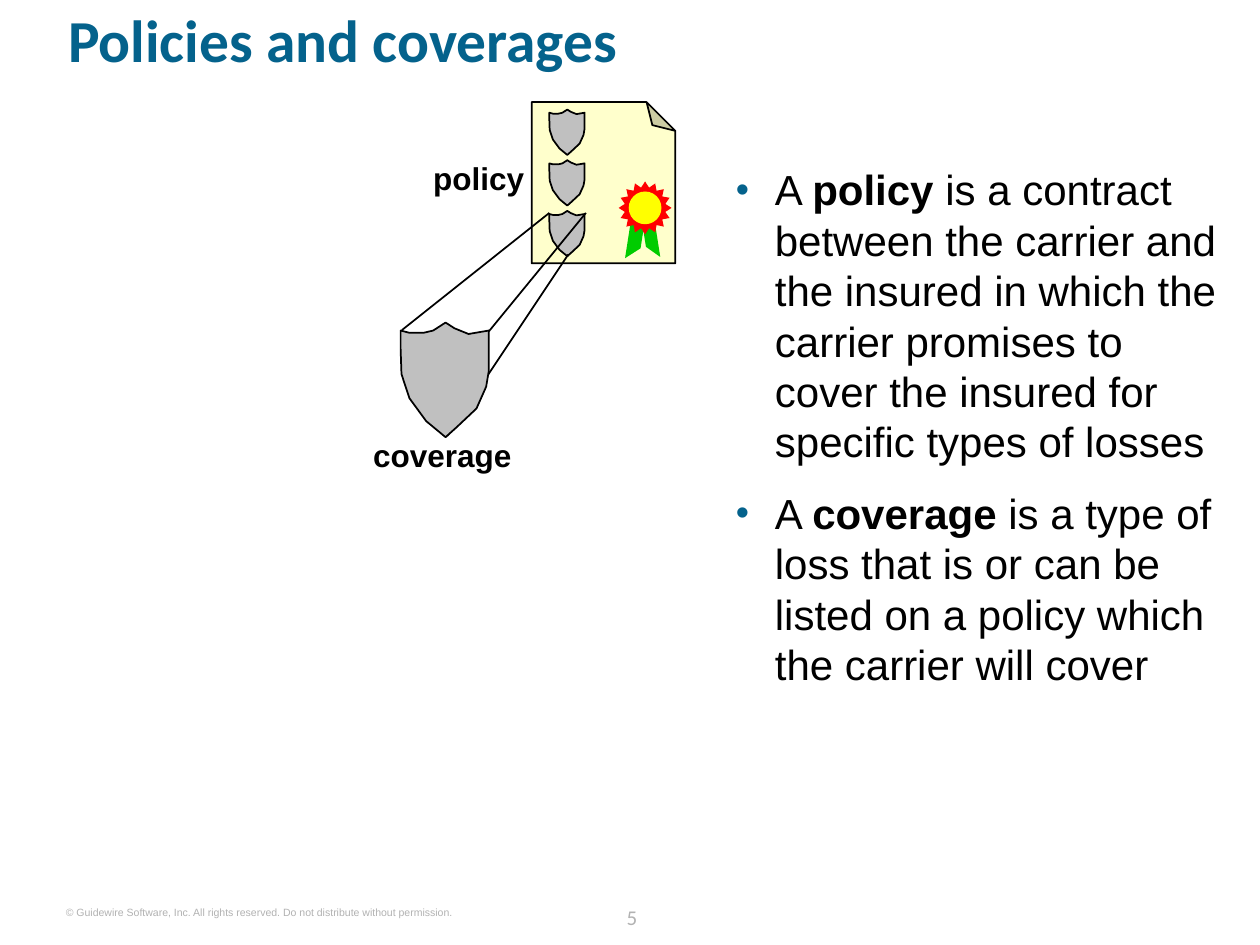
from typing import NamedTuple

from lxml.etree import SubElement
from pptx import Presentation
from pptx.dml.color import RGBColor
from pptx.enum.shapes import MSO_CONNECTOR, MSO_SHAPE
from pptx.enum.text import PP_ALIGN
from pptx.oxml.ns import qn
from pptx.util import Inches, Pt

BLACK = RGBColor(0x00, 0x00, 0x00)
TITLE_BLUE = RGBColor(0x04, 0x62, 0x8C)
FOOTER_GRAY = RGBColor(0xB2, 0xB2, 0xB2)
PAPER = RGBColor(0xFF, 0xFF, 0xCC)
SHIELD_GRAY = RGBColor(0xC0, 0xC0, 0xC0)
RIBBON_GREEN = RGBColor(0x00, 0xCC, 0x00)
ROSETTE_RED = RGBColor(0xFF, 0x00, 0x00)
ROSETTE_YELLOW = RGBColor(0xFF, 0xFF, 0x00)

presentation = Presentation()
presentation.slide_width = Inches(10)
presentation.slide_height = Inches(7.5)
slide = presentation.slides.add_slide(presentation.slide_layouts[6])

# The slide is a grid of 100 columns by 75 rows of square cells.
CELL = presentation.slide_width // 100


class Box(NamedTuple):
    left: float
    top: float
    width: float
    height: float

    def lengths(self) -> list[int]:
        return [round(value * CELL) for value in self]


class Label(NamedTuple):
    text: str
    box: Box
    size: float
    color: RGBColor = BLACK
    font: str = "Arial"
    bold: bool = False
    align: PP_ALIGN = PP_ALIGN.LEFT
    spacing: float | Pt | None = None
    wrap: bool = True


class Preset(NamedTuple):
    kind: MSO_SHAPE
    box: Box
    fill: RGBColor
    adjustment: float | None = None
    rotation: float = 0
    flipped: bool = False
    outlined: bool = False


class Definition(NamedTuple):
    term: str
    meaning: str


# Outline in hundredths of the shield's width and height, from the bottom tip.
SHIELD_OUTLINE = [
    (51, 100), (29, 86), (10, 66), (1, 45), (0, 23), (0, 7), (10, 9), (26, 9), (37, 7),
    (51, 0), (61, 5), (77, 10), (100, 7), (100, 42), (97, 56), (86, 75), (64, 91),
]

LABELS = [
    Label("5", Box(47.3, 71.3, 5.7, 2.5), 12, FOOTER_GRAY, "Calibri",
          align=PP_ALIGN.CENTER, spacing=Pt(18)),
    Label("© Guidewire Software, Inc. All rights reserved. Do not distribute without permission.",
          Box(5.2, 71.9, 30.7, 1), 6, FOOTER_GRAY, align=PP_ALIGN.RIGHT, wrap=False),
    Label("Policies and coverages", Box(5.4, 1.3, 91, 8.1), 34, TITLE_BLUE, "Calibri",
          bold=True, spacing=0.8),
    Label("policy", Box(28.8, 12.6, 12.8, 3), 18, bold=True, align=PP_ALIGN.RIGHT),
    Label("coverage", Box(28.7, 34.6, 12.8, 3), 18, bold=True, align=PP_ALIGN.CENTER),
]

POLICY_PAPER = Preset(MSO_SHAPE.FOLDED_CORNER, Box(41.5, 8.8, 12.8, 11.4), PAPER,
                      0.2, 270, outlined=True)
SEAL = [
    Preset(MSO_SHAPE.PARALLELOGRAM, Box(48.5, 18.1, 3.9, 1.1), RIBBON_GREEN,
           0.88, 278.9, flipped=True),
    Preset(MSO_SHAPE.PARALLELOGRAM, Box(49.6, 18, 4, 1), RIBBON_GREEN, 0.97, 81.1),
    Preset(MSO_SHAPE.STAR_16_POINT, Box(49.1, 14.4, 4.2, 4.2), ROSETTE_RED, 0.39),
    Preset(MSO_SHAPE.OVAL, Box(49.9, 15.2, 2.6, 2.6), ROSETTE_YELLOW),
]

LISTED_SHIELDS = [Box(43.6, 8.7 + 4.02 * row, 2.8, 3.6) for row in range(3)]
COVERAGE_SHIELD = Box(31.8, 25.6, 7, 9.1)
ZOOM_LINES = [
    ((43.6, 16.9), (31.9, 26.2)),
    ((35.5, 34.6), (45.1, 20.2)),
    ((38.8, 26.3), (46.5, 16.9)),
]

DEFINITIONS_BOX = Box(58.4, 13, 38.2, 56.8)
DEFINITIONS = [
    Definition("policy", " is a contract between the carrier and the insured in which the carrier "
                         "promises to cover the insured for specific types of losses"),
    Definition("coverage", " is a type of loss that is or can be listed on a policy which the "
                           "carrier will cover"),
]


def add_text_frame(box: Box, wrap: bool = True):
    frame = slide.shapes.add_textbox(*box.lengths()).text_frame
    frame.margin_left = frame.margin_top = frame.margin_right = frame.margin_bottom = 0
    frame.word_wrap = wrap
    return frame


def add_label(label: Label) -> None:
    frame = add_text_frame(label.box, label.wrap)
    frame.text = label.text
    paragraph = frame.paragraphs[0]
    paragraph.alignment = label.align
    paragraph.line_spacing = label.spacing
    font = paragraph.runs[0].font
    font.name, font.size, font.bold = label.font, Pt(label.size), label.bold
    font.color.rgb = label.color


def paint(shape, fill: RGBColor, outlined: bool) -> None:
    shape.shadow.inherit = False
    shape.fill.solid()
    shape.fill.fore_color.rgb = fill
    if outlined:
        shape.line.color.rgb = BLACK
        shape.line.width = Pt(1)
    else:
        shape.line.fill.background()


def add_preset(preset: Preset) -> None:
    shape = slide.shapes.add_shape(preset.kind, *preset.box.lengths())
    shape.rotation = preset.rotation
    properties = shape._element.spPr
    if preset.adjustment is not None:
        guides = properties.find(qn("a:prstGeom")).get_or_add_avLst()
        guides.clear()
        SubElement(guides, qn("a:gd"), name="adj", fmla=f"val {round(preset.adjustment * 100000)}")
    if preset.flipped:
        properties.find(qn("a:xfrm")).set("flipH", "1")
    paint(shape, preset.fill, preset.outlined)


def add_shield(box: Box) -> None:
    left, top, width, height = box.lengths()
    builder = slide.shapes.build_freeform(*SHIELD_OUTLINE[0], scale=(width / 100, height / 100))
    builder.add_line_segments(SHIELD_OUTLINE[1:], close=True)
    paint(builder.convert_to_shape(left, top), SHIELD_GRAY, outlined=True)


def add_zoom_line(start: tuple[float, float], end: tuple[float, float]) -> None:
    ends = [round(value * CELL) for value in (*start, *end)]
    connector = slide.shapes.add_connector(MSO_CONNECTOR.STRAIGHT, *ends)
    connector.line.color.rgb = BLACK
    connector.line.width = Pt(1)
    SubElement(connector._element.spPr, qn("a:effectLst"))


def add_bullet(paragraph) -> None:
    """Give the paragraph a hanging blue bullet."""
    properties = paragraph._p.get_or_add_pPr()
    indent = Inches(0.31)
    properties.set("marL", str(indent))
    properties.set("indent", str(-indent))
    color = SubElement(properties, qn("a:buClr"))
    SubElement(color, qn("a:srgbClr"), val=str(TITLE_BLUE))
    SubElement(properties, qn("a:buSzPct"), val="90000")
    SubElement(properties, qn("a:buFont"), typeface="Arial")
    SubElement(properties, qn("a:buChar"), char="•")


def add_definitions() -> None:
    frame = add_text_frame(DEFINITIONS_BOX)
    for index, definition in enumerate(DEFINITIONS):
        paragraph = frame.add_paragraph() if index else frame.paragraphs[0]
        add_bullet(paragraph)
        if index:
            paragraph.space_before = Pt(12)
        for text in ("A ", definition.term, definition.meaning):
            run = paragraph.add_run()
            run.text = text
            run.font.name, run.font.size = "Arial", Pt(24)
            run.font.bold = text == definition.term
            run.font.color.rgb = BLACK


add_preset(POLICY_PAPER)
for shield in LISTED_SHIELDS:
    add_shield(shield)
for part in SEAL:
    add_preset(part)
for label in LABELS:
    add_label(label)
add_definitions()
for start, end in ZOOM_LINES:
    add_zoom_line(start, end)
add_shield(COVERAGE_SHIELD)

presentation.save("out.pptx")
